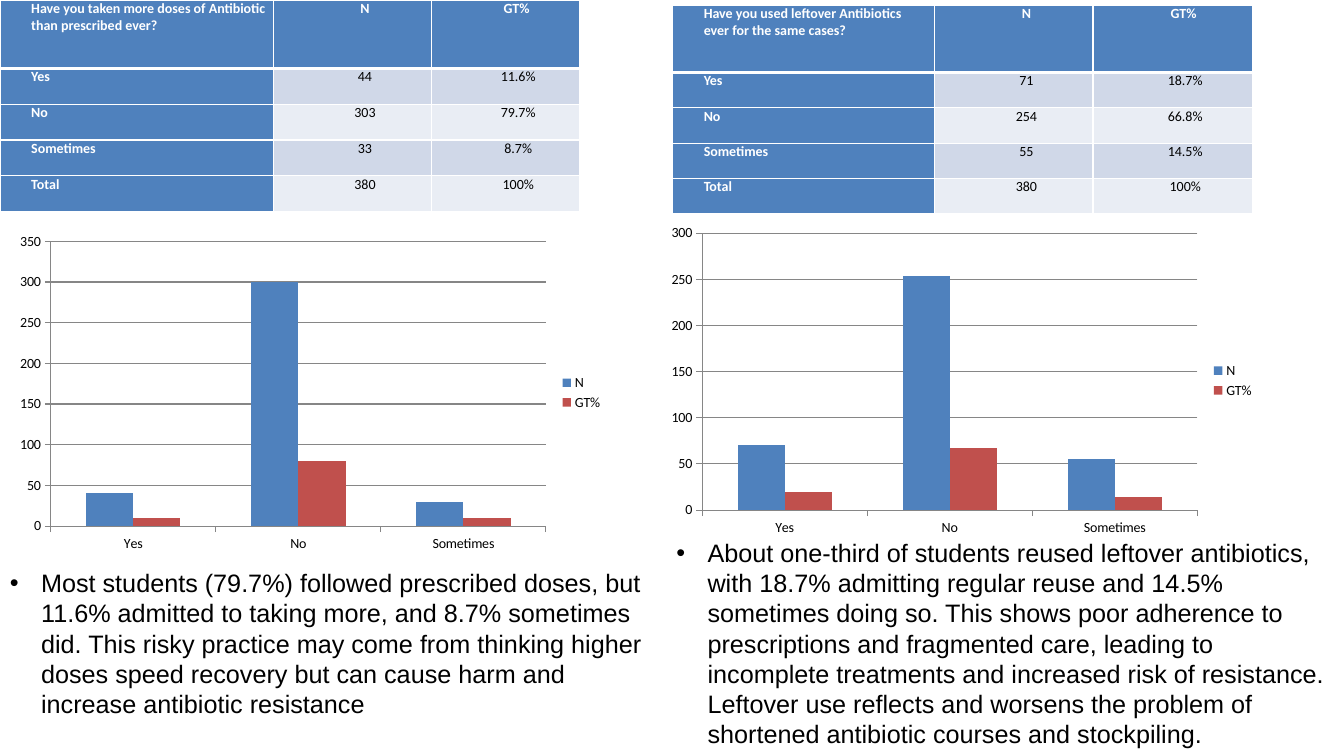
import dataclasses

import lxml.etree
import pptx
import pptx.chart.data
import pptx.dml.color
import pptx.enum.chart
import pptx.enum.text
import pptx.oxml
import pptx.oxml.ns
import pptx.util

Inches = pptx.util.Inches
Pt = pptx.util.Pt
qn = pptx.oxml.ns.qn


@dataclasses.dataclass
class Theme:
    """Colours, fonts and type sizes of the slide."""
    accent: str = "4F81BD"
    percent: str = "C0504D"
    bands: tuple = ("D0D8E8", "E9EDF4")
    text: str = "000000"
    inverse: str = "FFFFFF"
    axis: str = "868686"
    data_font: str = "Calibri"
    body_font: str = "Arial"
    data_size: int = 10
    body_size: int = 18


def rgb(value):
    """Turn a hex string into a colour."""
    return pptx.dml.color.RGBColor.from_string(value)


class SurveySlide:
    """Draws survey tables, charts and findings on one slide."""

    def __init__(self, slide, theme):
        self.shapes = slide.shapes
        self.theme = theme

    def style(self, font, family, size, color, bold=False):
        """Set all the properties of a font."""
        font.name, font.size, font.bold = family, Pt(size), bold
        font.color.rgb = rgb(color)

    def borders(self, cell, row):
        """Give a cell thin edges and a thick rule under the header."""
        properties = cell._tc.get_or_add_tcPr()
        widths = {"L": 1, "R": 1, "T": 3 if row == 1 else 1, "B": 3 if row == 0 else 1}
        for position, (side, width) in enumerate(widths.items()):
            line = lxml.etree.Element(qn(f"a:ln{side}"), w=str(Pt(width)))
            fill = lxml.etree.SubElement(line, qn("a:solidFill"))
            lxml.etree.SubElement(fill, qn("a:srgbClr"), val=self.theme.inverse)
            properties.insert(position, line)

    def cell(self, cell, row, column, text):
        """Fill and format one table cell."""
        theme = self.theme
        heading = row == 0 or column == 0
        cell.margin_left = cell.margin_right = Inches(0.06)
        cell.margin_top = cell.margin_bottom = 0
        cell.fill.solid()
        cell.fill.fore_color.rgb = rgb(theme.accent if heading else theme.bands[(row - 1) % 2])
        self.borders(cell, row)
        paragraph = cell.text_frame.paragraphs[0]
        paragraph.text = text
        paragraph._p.get_or_add_pPr().set("marL", str(Inches(0.25)))
        if column:
            paragraph.alignment = pptx.enum.text.PP_ALIGN.CENTER
        self.style(paragraph.runs[0].font, theme.data_font, theme.data_size,
                   theme.inverse if heading else theme.text, heading)

    def table(self, left, top, widths, heights, question, answers):
        """Add the table of answers with a total row."""
        total = sum(count for _, count, _ in answers)
        rows = [(question, "N", "GT% ")]
        rows += [(answer, str(count), f"{share}%") for answer, count, share in answers]
        rows.append(("Total", str(total), "100%"))
        table = self.shapes.add_table(
            len(rows), len(widths), Inches(left), Inches(top),
            Inches(sum(widths)), Inches(sum(heights))).table
        for column, width in zip(table.columns, widths):
            column.width = Inches(width)
        for r, (height, texts) in enumerate(zip(heights, rows)):
            table.rows[r].height = Inches(height)
            for c, text in enumerate(texts):
                self.cell(table.cell(r, c), r, c, text)

    def chart(self, left, top, width, height, counts, shares):
        """Add the clustered columns of counts and shares."""
        theme = self.theme
        data = pptx.chart.data.CategoryChartData()
        data.categories = ("Yes", "No", "Sometimes")
        data.add_series("N", counts)
        data.add_series("GT%", shares)
        chart = self.shapes.add_chart(
            pptx.enum.chart.XL_CHART_TYPE.COLUMN_CLUSTERED,
            Inches(left), Inches(top), Inches(width), Inches(height), data).chart
        self.style(chart.font, theme.data_font, theme.data_size, theme.text)
        chart.has_title = False
        chart.has_legend = True
        chart.legend.position = pptx.enum.chart.XL_LEGEND_POSITION.RIGHT
        chart.legend.include_in_layout = False
        plot = chart.plots[0]
        plot.vary_by_categories = False
        plot.gap_width, plot.overlap = 150, 0
        for series, color in zip(plot.series, (theme.accent, theme.percent)):
            series.format.fill.solid()
            series.format.fill.fore_color.rgb = rgb(color)
        chart.value_axis.minimum_scale = 0
        chart.value_axis.maximum_scale = 350 if max(counts) >= 300 else 300
        chart.value_axis.major_unit = 50
        chart.value_axis.has_major_gridlines = True
        lines = [chart.value_axis.major_gridlines.format.line]
        for axis in (chart.category_axis, chart.value_axis):
            axis.major_tick_mark = pptx.enum.chart.XL_TICK_MARK.OUTSIDE
            lines.append(axis.format.line)
        for line in lines:
            line.color.rgb = rgb(theme.axis)
            line.width = Pt(0.75)

    def finding(self, left, top, width, height, text):
        """Add a bulleted finding."""
        box = self.shapes.add_textbox(Inches(left), Inches(top), Inches(width), Inches(height))
        frame = box.text_frame
        frame.word_wrap = True
        frame.auto_size = pptx.enum.text.MSO_AUTO_SIZE.SHAPE_TO_FIT_TEXT
        paragraph = frame.paragraphs[0]
        paragraph.text = text
        properties = paragraph._p.get_or_add_pPr()
        properties.set("marL", str(Inches(0.31)))
        properties.set("indent", str(Inches(-0.31)))
        lxml.etree.SubElement(properties, qn("a:buFont"), typeface=self.theme.body_font)
        lxml.etree.SubElement(properties, qn("a:buChar"), char="•")
        self.style(paragraph.runs[0].font, self.theme.body_font,
                   self.theme.body_size, self.theme.text)


def main():
    """Build the slide and save it."""
    deck = pptx.Presentation()
    deck.slide_width, deck.slide_height = Inches(13.33), Inches(7.5)
    survey = SurveySlide(deck.slides.add_slide(deck.slide_layouts[6]), Theme())

    survey.table(0, 0, (2.71, 1.57, 1.47), [0.68] + [0.355] * 4,
                 "Have you taken more doses of Antibiotic than prescribed ever?",
                 [("Yes", 44, 11.6), ("No", 303, 79.7), ("Sometimes", 33, 8.7)])
    survey.chart(0.08, 2.25, 6, 3.29, (40, 300, 30), (10, 80, 10))
    survey.finding(
        0, 5.58, 6.67, 1.62,
        "Most students (79.7%) followed prescribed doses, but 11.6% admitted to taking more, "
        "and 8.7% sometimes did. This risky practice may come from thinking higher doses speed "
        "recovery but can cause harm and increase antibiotic resistance")

    survey.table(6.67, 0.05, (2.6, 1.57, 1.58), [0.67] + [0.35] * 4,
                 "Have you used leftover Antibiotics ever for the same cases?",
                 [("Yes", 71, 18.7), ("No", 254, 66.8), ("Sometimes", 55, 14.5)])
    survey.chart(6.54, 2.17, 6, 3.21, (71, 254, 55), (19, 67, 14))
    survey.finding(
        6.61, 5.28, 6.77, 2.22,
        "About one-third of students reused leftover antibiotics, with 18.7% admitting regular "
        "reuse and 14.5% sometimes doing so. This shows poor adherence to prescriptions and "
        "fragmented care, leading to incomplete treatments and increased risk of resistance. "
        "Leftover use reflects and worsens the problem of shortened antibiotic courses and "
        "stockpiling.")
    deck.save("out.pptx")


if __name__ == "__main__":
    main()
